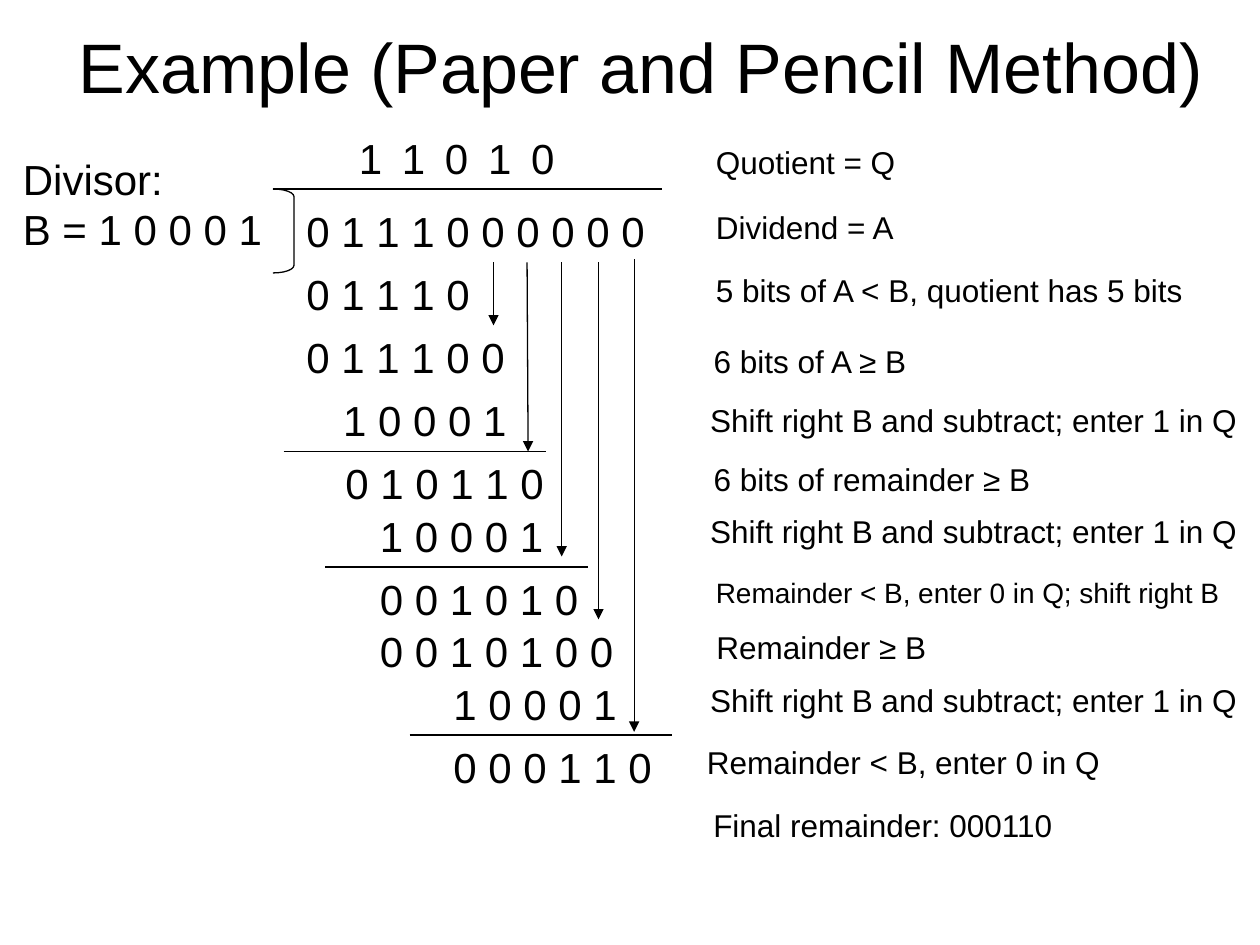
from dataclasses import dataclass

from lxml.etree import SubElement as Sub
from pptx import Presentation
from pptx.dml.color import RGBColor as RGB
from pptx.enum.shapes import MSO_CONNECTOR as Link, MSO_SHAPE as Form
from pptx.enum.text import (
    MSO_ANCHOR as Anchor, MSO_AUTO_SIZE as Fit, PP_ALIGN as Align)
from pptx.oxml.ns import qn
from pptx.util import Inches, Pt


@dataclass(frozen=True)
class Theme:
    ink: RGB = RGB(0, 0, 0)
    font: str = "Arial"
    title: int = 40
    digit: int = 24
    note: int = 18
    small: int = 16
    rule: float = 0.75


THEME = Theme()
DIGIT_H, NOTE_H = 6, 4.8

# text, column, row
STEPS = [
    ("0 1 1 1 0 0 0 0 0 0", 2, 7),
    ("0 1 1 1 0", 2, 13),
    ("0 1 1 1 0 0", 2, 19),
    ("1 0 0 0 1", 5.5, 25),
    ("0 1 0 1 1 0", 5.7, 31),
    ("1 0 0 0 1", 9, 36),
    ("0 0 1 0 1 0", 9, 42),
    ("0 0 1 0 1 0 0", 9, 47),
    ("1 0 0 0 1", 16, 52),
    ("0 0 0 1 1 0", 16, 58),
]
# column, row, length
RULES = [(0, 6, 37), (1, 31, 25), (5, 42, 25), (13, 58, 25)]
# start column, start row, end column, end row
DROPS = [
    (21, 13, 21, 19),
    (24.2, 13, 24.3, 31),
    (27.5, 13, 27.5, 41),
    (31, 13, 31, 47),
    (34.4, 12.7, 34.4, 57.7),
]
SHIFT = "Shift right B and subtract; enter 1 in Q"
# text, column, row, width
NOTES = [
    ("Quotient = Q", 1, 0, 19.8),
    ("Dividend = A", 1, 6.2, 19.8),
    ("5 bits of A < B, quotient has 5 bits", 1, 12.2, 47.2),
    ("6 bits of A ≥ B", 0.8, 19, 21.8),
    (SHIFT, 0.45, 24.6, 52.6),
    ("6 bits of remainder ≥ B", 0.8, 30.2, 33.4),
    (SHIFT, 0.45, 35.2, 52.6),
    ("Remainder < B, enter 0 in Q; shift right B", 1, 41.2, 53),
    ("Remainder ≥ B", 1.05, 46.2, 23.2),
    (SHIFT, 0.45, 51.3, 52.6),
    ("Remainder < B, enter 0 in Q", 0.15, 57.2, 39.8),
    ("Final remainder: 000110", 0.75, 63.2, 34.9),
]


def cell(n):
    """Length of n grid cells, twelve to the inch."""
    return Inches(n / 12)


def write(slide, text, box, size=THEME.digit, align=Align.LEFT,
          anchor=Anchor.TOP, wrap=False, fit=Fit.SHAPE_TO_FIT_TEXT):
    shape = slide.shapes.add_textbox(*map(cell, box))
    frame = shape.text_frame
    frame.word_wrap = wrap
    frame.auto_size = fit
    frame.vertical_anchor = anchor
    frame.text = text
    for para in frame.paragraphs:
        para.alignment = align
        para.font.size = Pt(size)
        para.font.name = THEME.font
        para.font.color.rgb = THEME.ink


def ink(line):
    line.color.rgb = THEME.ink
    line.width = Pt(THEME.rule)


def draw(slide, x1, y1, x2, y2, arrow=False):
    link = slide.shapes.add_connector(
        Link.STRAIGHT, *map(cell, (x1, y1, x2, y2)))
    ink(link.line)
    props = link._element.spPr
    if arrow:
        Sub(props.find(qn("a:ln")), qn("a:tailEnd"), type="triangle")
    Sub(props, qn("a:effectLst"))


def head(slide, box):
    write(slide, "Example (Paper and Pencil Method)", box, size=THEME.title,
          align=Align.CENTER, anchor=Anchor.MIDDLE, wrap=True, fit=Fit.NONE)


def divisor(slide, box):
    write(slide, "Divisor:\nB = 1 0 0 0 1", box)


def division(slide, left, top):
    """Long division: quotient, bracket, steps, rules and bits brought down."""
    for i, bit in enumerate("11010"):
        write(slide, bit, (left + 7 + 4.1 * i, top, 4.6, DIGIT_H))
    brace = slide.shapes.add_shape(
        Form.RIGHT_BRACKET, *map(cell, (left, top + 6, 2, 8)))
    brace.shadow.inherit = False
    brace.adjustments[0] = 0.36
    brace.fill.background()
    ink(brace.line)
    for text, col, row in STEPS:
        width = 1.2 + 3.36 * len(text.split())
        write(slide, text, (left + col, top + row, width, DIGIT_H))
    for col, row, span in RULES:
        draw(slide, left + col, top + row, left + col + span, top + row)
    for x1, y1, x2, y2 in DROPS:
        draw(slide, left + x1, top + y1, left + x2, top + y2, arrow=True)


def notes(slide, left, top):
    for text, col, row, width in NOTES:
        tight = "; shift" in text
        write(slide, text, (left + col, top + row, width, NOTE_H),
              size=THEME.small if tight else THEME.note, wrap=tight)


def main():
    deck = Presentation()
    deck.slide_width, deck.slide_height = cell(120), cell(90)
    slide = deck.slides.add_slide(deck.slide_layouts[6])
    head(slide, (6, 2, 110, 8.4))
    divisor(slide, (1, 14, 25.2, 10.8))
    division(slide, 26, 12)
    notes(slide, 66, 13)
    deck.save("out.pptx")


if __name__ == "__main__":
    main()
